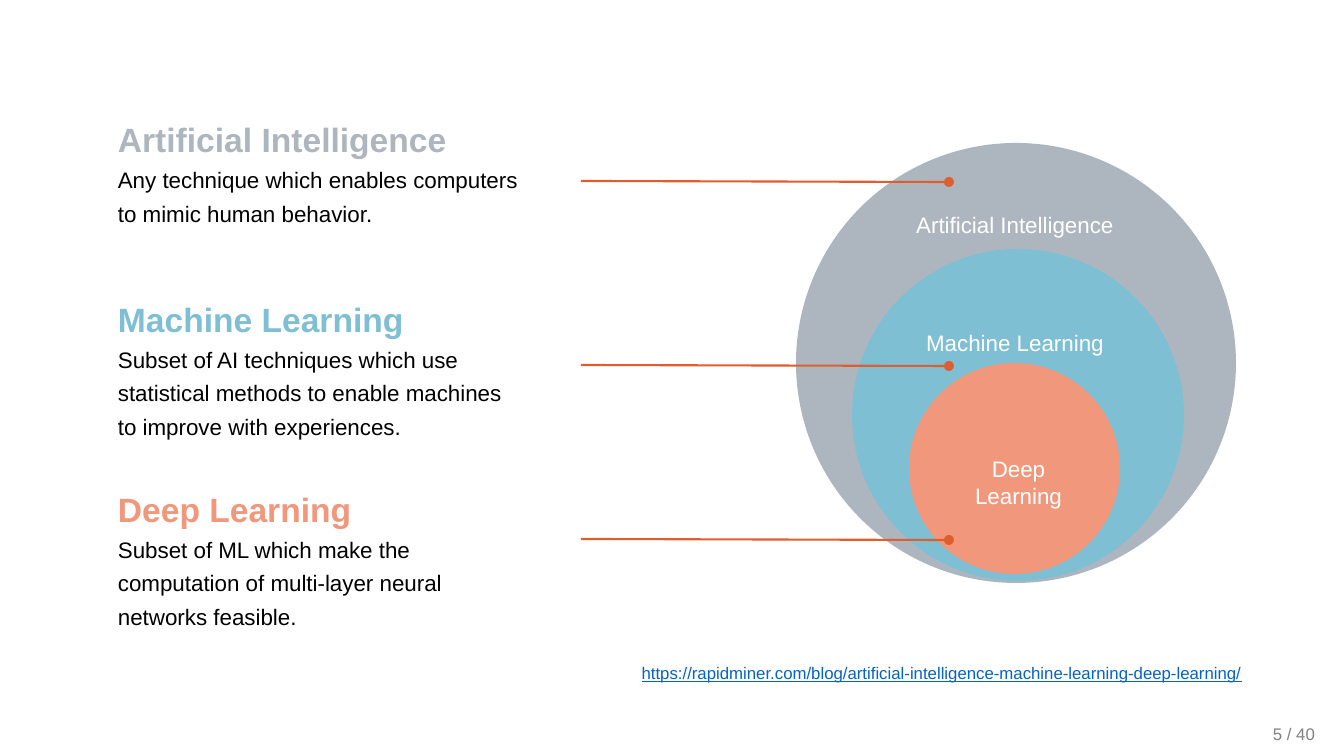
from pptx import Presentation
from pptx.dml.color import RGBColor
from pptx.enum.shapes import MSO_CONNECTOR, MSO_SHAPE
from pptx.enum.text import MSO_ANCHOR, PP_ALIGN
from pptx.oxml.ns import qn
from pptx.util import Emu, Pt
from lxml.etree import SubElement

# Content; places are left, top, width, height in px
DEFINITIONS = [
    ("Artificial Intelligence", "ai", (108, 104, 424, 124),
     ["Any technique which enables computers", "to mimic human behavior."]),
    ("Machine Learning", "ml", (108, 284, 425, 157),
     ["Subset of AI techniques which use",
      "statistical methods to enable machines",
      "to improve with experiences."]),
    ("Deep Learning", "dl", (108, 474, 425, 157),
     ["Subset of ML which make the",
      "computation of multi-layer neural",
      "networks feasible."]),
]
CIRCLES = [("ai", 796, 143, 440), ("ml", 852, 249, 332), ("dl", 909, 363, 211)]
CIRCLE_LABELS = [
    (["Artificial Intelligence"], (904, 206, 222, 38)),
    (["Machine Learning"], (914, 324, 202, 38)),
    (["Deep", "Learning"], (963, 450, 111, 66)),
]
POINTER_HEIGHTS = [182, 366, 540]
POINTER_START, POINTER_END, DOT = 581, 944, 10
SOURCE_LINK = "https://rapidminer.com/blog/artificial-intelligence-machine-learning-deep-learning/"
PAGE_NUMBER = "5 / 40"

THEME = {
    "font": "Arial",
    "colors": {"ai": "ADB6BF", "ml": "7EBFD3", "dl": "F1977C", "pointer": "DE5E2F",
               "body": "000000", "label": "FFFFFF", "link": "0563C1", "page": "808080"},
    "sizes": {"heading": 24, "body": 16, "small": 12},
}
SLIDE_SIZE = (1344, 756)
EMU_PER_PX = 914400 / 100.8


def px(length):
    return Emu(round(length * EMU_PER_PX))


def color(name):
    return RGBColor.from_string(THEME["colors"][name])


def add_text_box(page, place, wrap=False):
    frame = page.shapes.add_textbox(*map(px, place)).text_frame
    frame.word_wrap = wrap
    frame.vertical_anchor = MSO_ANCHOR.TOP
    return frame


def write(frame, text, size="body", ink="body", bold=False, underline=False,
          align=PP_ALIGN.LEFT, spacing=1.0):
    """Fill the empty first paragraph, or append a further one."""
    para = frame.add_paragraph() if frame.text else frame.paragraphs[0]
    para.alignment = align
    para.line_spacing = spacing
    span = para.add_run()
    span.text = text
    font = span.font
    font.name = THEME["font"]
    font.size = Pt(THEME["sizes"][size])
    font.bold = bold
    font.underline = underline
    font.color.rgb = color(ink)


def add_circle(page, fill, left, top, diameter):
    circle = page.shapes.add_shape(MSO_SHAPE.OVAL, *map(px, (left, top, diameter, diameter)))
    circle.shadow.inherit = False
    circle.fill.solid()
    circle.fill.fore_color.rgb = color(fill)
    circle.line.fill.background()


def add_pointer(page, height):
    add_circle(page, "pointer", POINTER_END, height - DOT // 2, DOT)
    line = page.shapes.add_connector(
        MSO_CONNECTOR.STRAIGHT,
        *map(px, (POINTER_END, height, POINTER_START, height - 1)))
    line.line.color.rgb = color("pointer")
    line.line.width = Pt(1.5)
    SubElement(line._element.spPr, qn("a:effectLst"))


def main():
    deck = Presentation()
    deck.slide_width, deck.slide_height = map(px, SLIDE_SIZE)
    page = deck.slides.add_slide(deck.slide_layouts[6])

    write(add_text_box(page, (1263, 719, 74, 30)), PAGE_NUMBER, size="small", ink="page")
    write(add_text_box(page, (277, 654, 975, 32), wrap=True), SOURCE_LINK, size="small",
          ink="link", underline=True, align=PP_ALIGN.RIGHT, spacing=1.2)

    for heading, ink, place, lines in DEFINITIONS:
        frame = add_text_box(page, place, wrap=True)
        write(frame, heading, size="heading", ink=ink, bold=True,
              align=PP_ALIGN.JUSTIFY, spacing=1.25)
        for line in lines:
            write(frame, line, align=PP_ALIGN.JUSTIFY, spacing=1.25)

    for circle in CIRCLES:
        add_circle(page, *circle)
    for height in POINTER_HEIGHTS:
        add_pointer(page, height)
    for lines, place in CIRCLE_LABELS:
        frame = add_text_box(page, place)
        for line in lines:
            write(frame, line, ink="label", align=PP_ALIGN.CENTER)

    deck.save("out.pptx")


if __name__ == "__main__":
    main()
